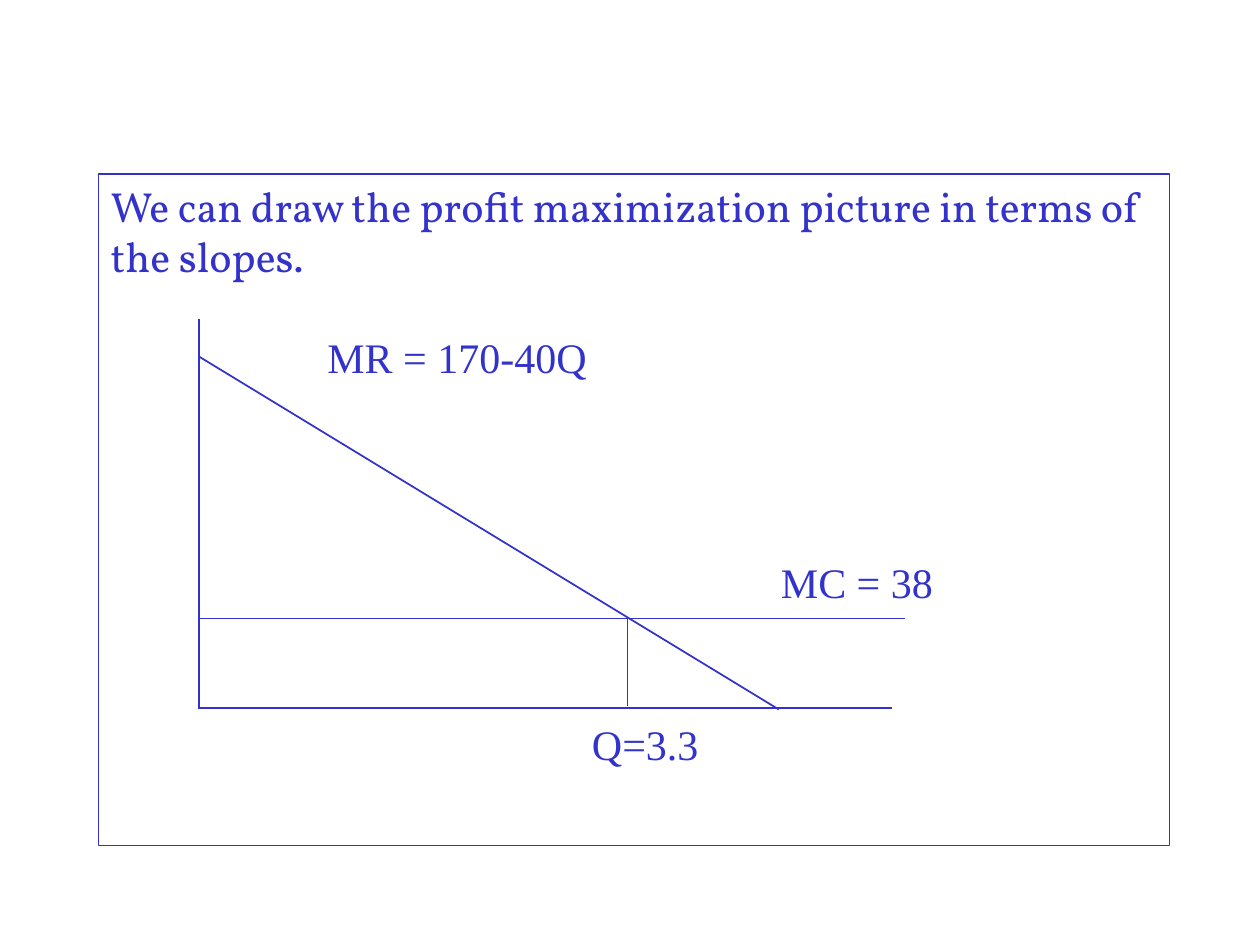
"""Build a slide that shows profit maximization where MR meets MC."""
from lxml.etree import SubElement
from pptx import Presentation
from pptx.dml.color import RGBColor
from pptx.enum.shapes import MSO_CONNECTOR as CONN, MSO_SHAPE as SHAPE
from pptx.enum.text import MSO_ANCHOR as ANCHOR, PP_ALIGN as ALIGN
from pptx.oxml.ns import qn
from pptx.util import Pt

BLUE = "3333CC"
STATEMENT = "We can draw the profit maximization picture in terms of the slopes."
FRAME = (56.2, 99.4, 612, 383.8)
LEFT, BASE, MC_Y, BEST_Q = 113.8, 404.6, 353.4, 358.6
LINES = [
    ((LEFT, 182.2), (LEFT, 405.4), 0.75),
    ((LEFT, BASE), (509.8, BASE), 0.75),
    ((LEFT, MC_Y), (517, MC_Y), 0.75),
    ((LEFT, 203.8), (445, 405.4), 1),
    ((BEST_Q, MC_Y), (BEST_Q, 403.2), 0.75),
]
LABELS = [
    ("MR = 170-40Q", (180, 185.8, 360, 50.4)),
    ("MC = 38", (439.2, 314.6, 165.6, 43.2)),
    ("Q=3.3", (331.2, 406.8, 172.8, 57.6)),
]


def rgb(value):
    return RGBColor.from_string(value)


def set_line(line, width):
    line.color.rgb = rgb(BLUE)
    line.width = Pt(width)


def write(shape, text, font):
    tf = shape.text_frame
    for name, value in {"word_wrap": True, "vertical_anchor": ANCHOR.TOP}.items():
        setattr(tf, name, value)
    p = tf.paragraphs[0]
    p.alignment = ALIGN.LEFT
    r = p.add_run()
    r.text = text
    for name, value in {"name": font, "size": Pt(24)}.items():
        setattr(r.font, name, value)
    r.font.color.rgb = rgb(BLUE)


def add_line(s, start, end, width):
    c = s.shapes.add_connector(CONN.STRAIGHT, *map(Pt, start + end))
    set_line(c.line, width)
    SubElement(c._element.spPr, qn("a:effectLst"))


def main():
    prs = Presentation()
    prs.slide_width, prs.slide_height = Pt(720), Pt(540)
    s = prs.slides.add_slide(prs.slide_layouts[6])
    frame = s.shapes.add_shape(SHAPE.RECTANGLE, *map(Pt, FRAME))
    frame.shadow.inherit = False
    frame.fill.background()
    set_line(frame.line, 0.75)
    write(frame, STATEMENT, "Vollkorn")
    for start, end, width in LINES:
        add_line(s, start, end, width)
    for text, box in LABELS:
        write(s.shapes.add_textbox(*map(Pt, box)), text, "Times New Roman")
    prs.save("out.pptx")


if __name__ == "__main__":
    main()
